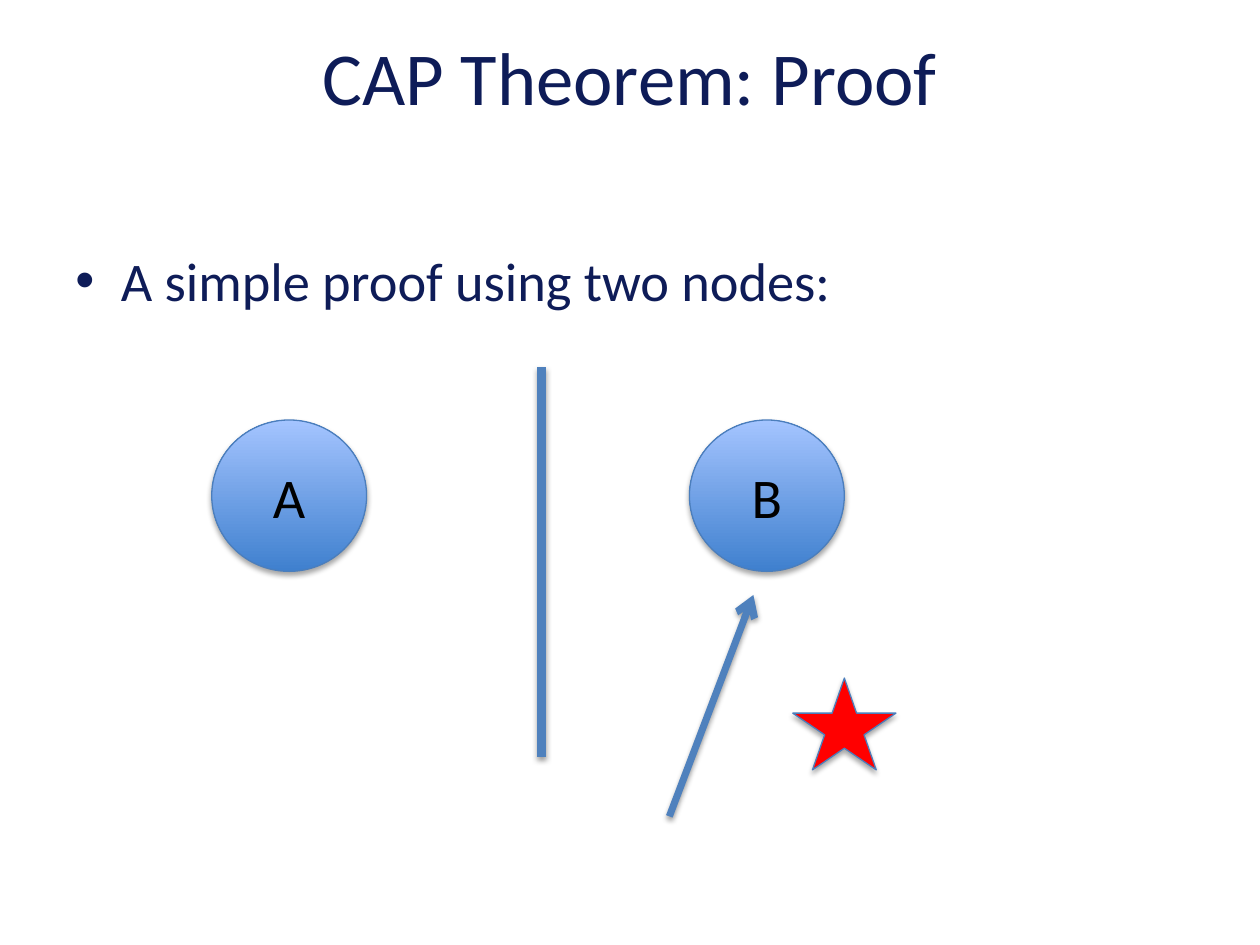
from dataclasses import dataclass

import pptx
import pptx.dml.color
import pptx.enum.shapes
import pptx.enum.text
import pptx.oxml
import pptx.oxml.ns
import pptx.util
from pptx.util import Pt

SHAPE = pptx.enum.shapes.MSO_SHAPE
ANCHOR = pptx.enum.text.MSO_ANCHOR
ALIGN = pptx.enum.text.PP_ALIGN
FONT = "Calibri"
NAVY, BLACK, RED = "0E1C58", "000000", "FF0000"
OUTLINE, LINE_BLUE = "4B7EBC", "4F81BD"
NODE_DARK, NODE_LIGHT = "3F80CE", "A4C4FF"


@dataclass
class Box:
    left: float
    top: float
    width: float
    height: float

    def lengths(self) -> list:
        return [Pt(v) for v in (self.left, self.top, self.width, self.height)]


@dataclass
class Node:
    label: str
    left: float


@dataclass
class Link:
    start: tuple
    end: tuple
    weight: float
    arrow: bool = False


def rgb(value: str) -> pptx.dml.color.RGBColor:
    return pptx.dml.color.RGBColor.from_string(value)


def xml(fragment: str):
    namespace = pptx.oxml.ns.nsdecls("a")
    return pptx.oxml.parse_xml(fragment.replace(">", f" {namespace}>", 1))


def add_shadow(shape, opacity: int, distance: float) -> None:
    shape._element.spPr.append(xml(
        "<a:effectLst >"
        f'<a:outerShdw blurRad="{Pt(3.1)}" dist="{Pt(distance)}" dir="5400000" rotWithShape="0">'
        f'<a:srgbClr val="{BLACK}"><a:alpha val="{opacity * 1000}"/></a:srgbClr>'
        "</a:outerShdw></a:effectLst>"))


def write(frame, text: str, size: float, color: str, align, anchor):
    frame.word_wrap = True
    frame.vertical_anchor = anchor
    paragraph = frame.paragraphs[0]
    paragraph.alignment = align
    run = paragraph.add_run()
    run.text = text
    run.font.name = FONT
    run.font.size = Pt(size)
    run.font.color.rgb = rgb(color)
    return paragraph


def add_figure(slide, kind, box: Box):
    figure = slide.shapes.add_shape(kind, *box.lengths())
    figure.line.color.rgb = rgb(OUTLINE)
    figure.line.width = Pt(0.75)
    return figure


def add_node(slide, node: Node) -> None:
    circle = add_figure(slide, SHAPE.OVAL, Box(node.left, 240, 88.5, 86.5))
    circle.fill.gradient()
    circle.fill.gradient_angle = 90
    for stop, color in zip(circle.fill.gradient_stops, (NODE_DARK, NODE_LIGHT)):
        stop.color.rgb = rgb(color)
    add_shadow(circle, 35, 1.8)
    write(circle.text_frame, node.label, 32, BLACK, ALIGN.CENTER, ANCHOR.MIDDLE)


def add_link(slide, link: Link) -> None:
    connector = slide.shapes.add_connector(
        pptx.enum.shapes.MSO_CONNECTOR.STRAIGHT,
        *(Pt(v) for v in link.start + link.end))
    connector.line.color.rgb = rgb(LINE_BLUE)
    connector.line.width = Pt(link.weight)
    if link.arrow:
        connector.line._get_or_add_ln().append(xml('<a:tailEnd type="arrow" />'.replace(" />", "></a:tailEnd>")))
    add_shadow(connector, 38, 1.6)


def main() -> None:
    deck = pptx.Presentation()
    deck.slide_width, deck.slide_height = Pt(720), Pt(540)
    slide = deck.slides.add_slide(deck.slide_layouts[6])

    # Title
    title = slide.shapes.add_textbox(*Box(36, 12.25, 648, 62).lengths())
    write(title.text_frame, "CAP Theorem: Proof", 42.7, NAVY, ALIGN.CENTER, ANCHOR.MIDDLE)

    # Bulleted statement
    statement = slide.shapes.add_textbox(*Box(36, 137.5, 579, 65.5).lengths())
    bullet = write(statement.text_frame, "A simple proof using two nodes:", 31.1, NAVY,
                   ALIGN.LEFT, ANCHOR.TOP)
    bullet.space_before = Pt(2)
    properties = bullet._p.get_or_add_pPr()
    properties.set("marL", str(Pt(26)))
    properties.set("indent", str(Pt(-26)))
    properties.append(xml('<a:buFont typeface="Arial"></a:buFont>'))
    properties.append(xml('<a:buChar char="•"></a:buChar>'))

    # The two nodes
    for node in (Node("A", 121), Node("B", 394)):
        add_node(slide, node)

    # Partition between the nodes, and the request reaching B
    partition = Link((309.5, 210), (309.5, 432.5), 5)
    request = Link((382.5, 466.5), (430.5, 340), 4, arrow=True)
    for link in (partition, request):
        add_link(slide, link)

    # Star marking the update
    update = add_figure(slide, SHAPE.STAR_5_POINT, Box(453, 387.5, 59, 52.5))
    update.fill.solid()
    update.fill.fore_color.rgb = rgb(RED)
    add_shadow(update, 35, 1.8)

    deck.save("out.pptx")


if __name__ == "__main__":
    main()
